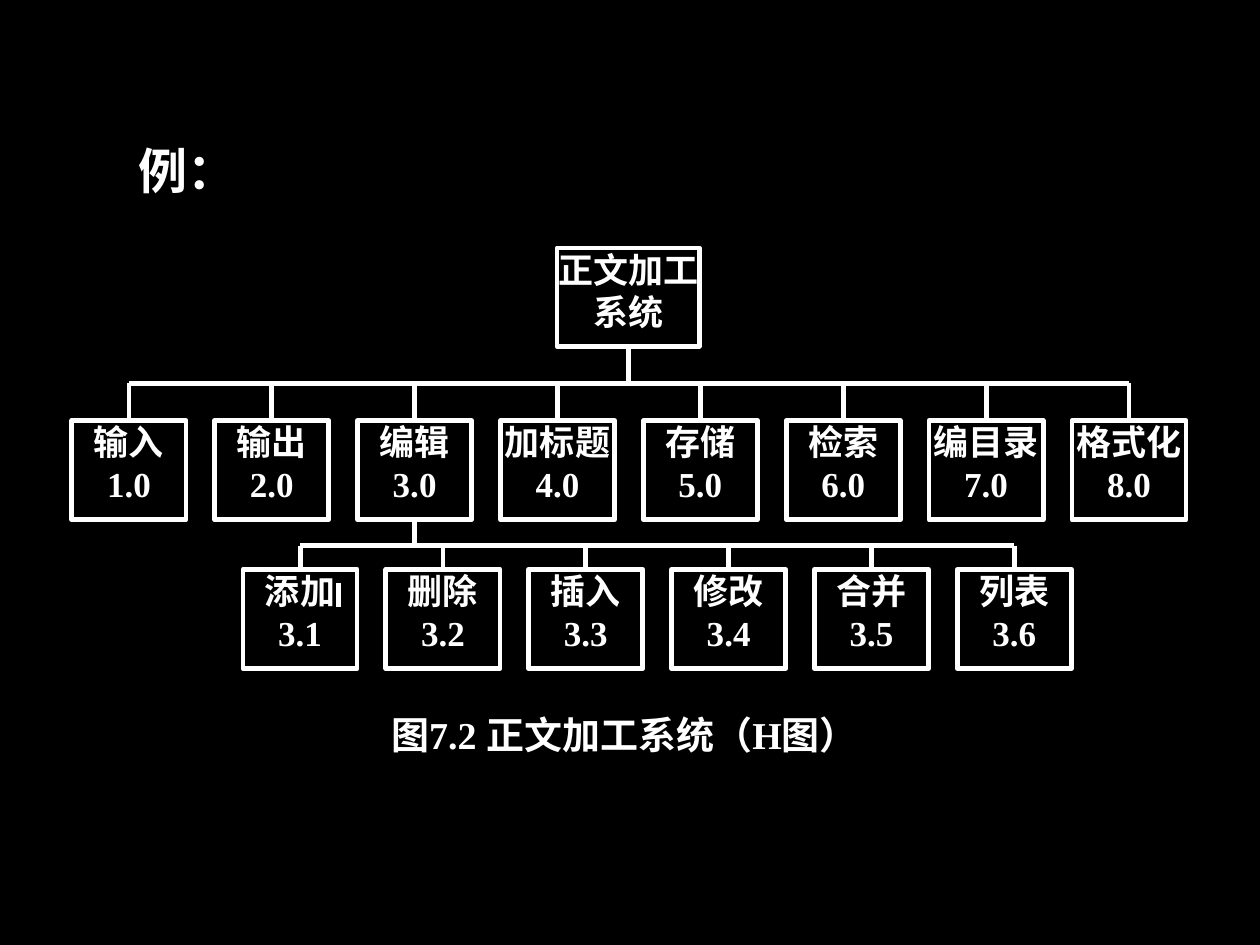
import pptx
import pptx.util
import pptx.dml.color
import pptx.enum.shapes
import pptx.enum.text
import pptx.oxml.ns
from lxml import etree

Cm, Pt = pptx.util.Cm, pptx.util.Pt
FONT, WHITE, BLACK = "Times New Roman", "FFFFFF", "000000"
LINE_W = 2.75

HEADING = "例："
ROOT = "正文加工系统"
CAPTION = "图7.2 正文加工系统（H图）"
MODULES = ["输入", "输出", "编辑", "加标题", "存储", "检索", "编目录", "格式化"]
EDIT_STEPS = ["添加", "删除", "插入", "修改", "合并", "列表"]

BOX_W, BOX_H, PITCH = 2.3, 2.0, 2.88
ROOT_BOX = (11.23, 5.0, 2.87, 1.98)
MODULE_LEFT, MODULE_TOP, MODULE_BUS = 1.45, 8.48, 7.73
STEP_LEFT, STEP_TOP, STEP_BUS = 4.9, 11.48, 11.0
TICK = (6.83, 11.76, 12.24)


def color(value):
    return pptx.dml.color.RGBColor.from_string(value)


def write(sp, lines, size, centered=True, margin=(0, 0)):
    tf = sp.text_frame
    tf.word_wrap = True
    tf.vertical_anchor = pptx.enum.text.MSO_ANCHOR.TOP
    tf.margin_left = tf.margin_right = Cm(margin[0])
    tf.margin_top = tf.margin_bottom = Cm(margin[1])
    tf.text = "\n".join(lines)
    align = pptx.enum.text.PP_ALIGN
    for p in tf.paragraphs:
        p.alignment = align.CENTER if centered else align.LEFT
        for r in p.runs:
            r.font.name = FONT
            r.font.size = Pt(size)
            r.font.bold = True
            r.font.color.rgb = color(WHITE)
    return tf


def add_box(s, rect, lines):
    sp = s.shapes.add_shape(pptx.enum.shapes.MSO_SHAPE.RECTANGLE, *map(Cm, rect))
    sp.shadow.inherit = False
    sp.fill.background()
    sp.line.color.rgb = color(WHITE)
    sp.line.width = Pt(LINE_W)
    write(sp, lines, 20)


def add_line(s, x1, y1, x2, y2):
    line = s.shapes.add_connector(
        pptx.enum.shapes.MSO_CONNECTOR.STRAIGHT, *map(Cm, (x1, y1, x2, y2)))
    line.line.color.rgb = color(WHITE)
    line.line.width = Pt(LINE_W)
    etree.SubElement(line._element.spPr, pptx.oxml.ns.qn("a:effectLst"))


def add_level(s, labels, numbers, left, top, bus):
    centers = [left + i * PITCH + BOX_W / 2 for i in range(len(labels))]
    for x, label, number in zip(centers, labels, numbers):
        add_box(s, (x - BOX_W / 2, top, BOX_W, BOX_H), [label, number])
        add_line(s, x, bus, x, top)
    add_line(s, centers[0], bus, centers[-1], bus)
    return centers


def main():
    prs = pptx.Presentation()
    prs.slide_width, prs.slide_height = Cm(25.4), Cm(19.05)
    s = prs.slides.add_slide(prs.slide_layouts[6])
    s.background.fill.solid()
    s.background.fill.fore_color.rgb = color(BLACK)

    heading = s.shapes.add_textbox(Cm(2.54), Cm(2.7), Cm(2.77), Cm(1.45))
    write(heading, [HEADING], 28, centered=False, margin=(0.25, 0.13))

    add_box(s, ROOT_BOX, [ROOT])
    modules = add_level(s, MODULES, [f"{i}.0" for i in range(1, len(MODULES) + 1)],
                        MODULE_LEFT, MODULE_TOP, MODULE_BUS)
    add_level(s, EDIT_STEPS, [f"3.{i}" for i in range(1, len(EDIT_STEPS) + 1)],
              STEP_LEFT, STEP_TOP, STEP_BUS)

    left, top, width, height = ROOT_BOX
    root_x = left + width / 2
    add_line(s, root_x, top + height, root_x, MODULE_BUS)
    edit_x = modules[MODULES.index("编辑")]
    add_line(s, edit_x, MODULE_TOP + BOX_H, edit_x, STEP_BUS)
    tick_x, tick_top, tick_bottom = TICK
    add_line(s, tick_x, tick_top, tick_x, tick_bottom)

    caption = s.shapes.add_textbox(Cm(5.92), Cm(14.53), Cm(13.34), Cm(1))
    write(caption, [CAPTION], 21.7).paragraphs[0].line_spacing = 0.8

    prs.save("out.pptx")


if __name__ == "__main__":
    main()
